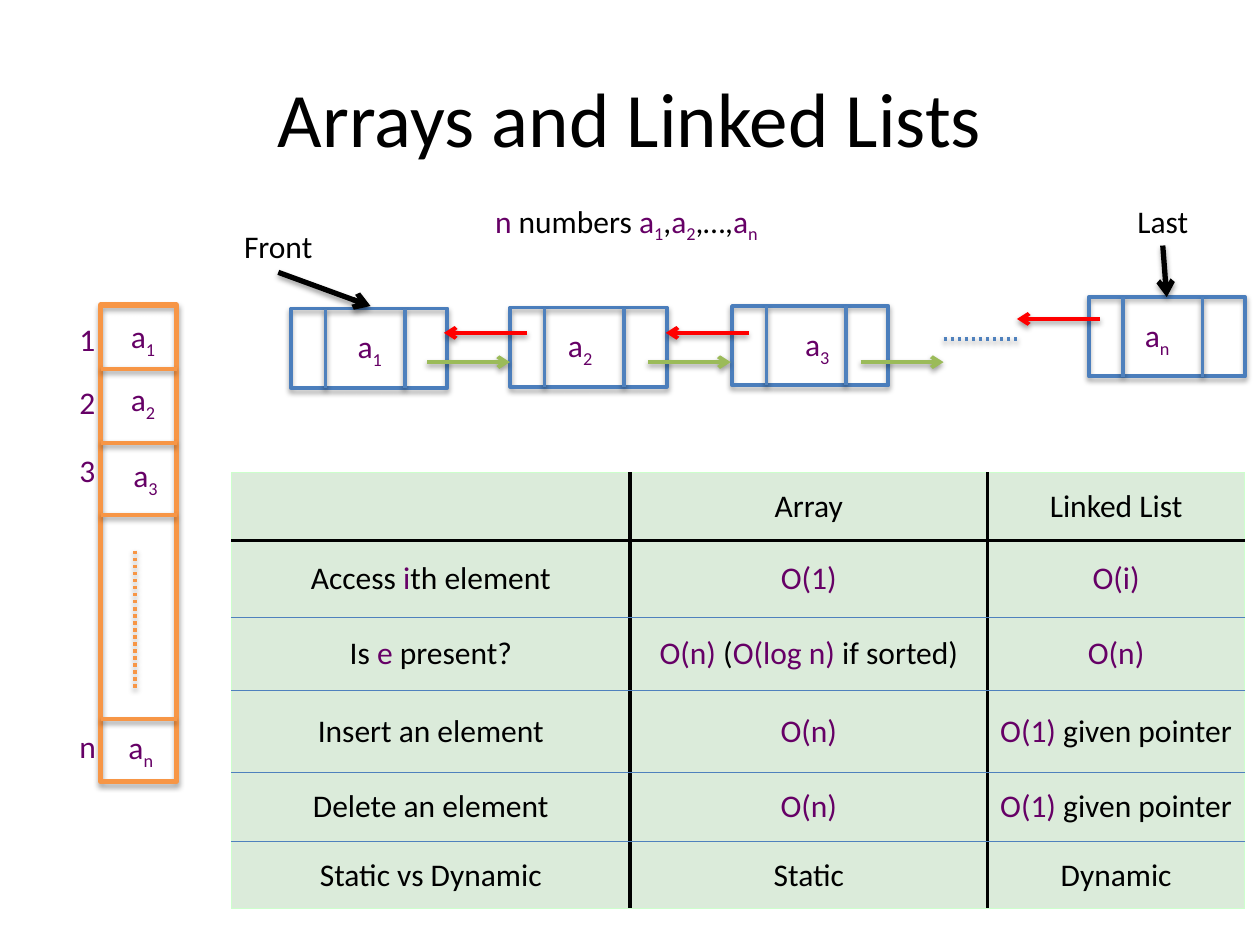
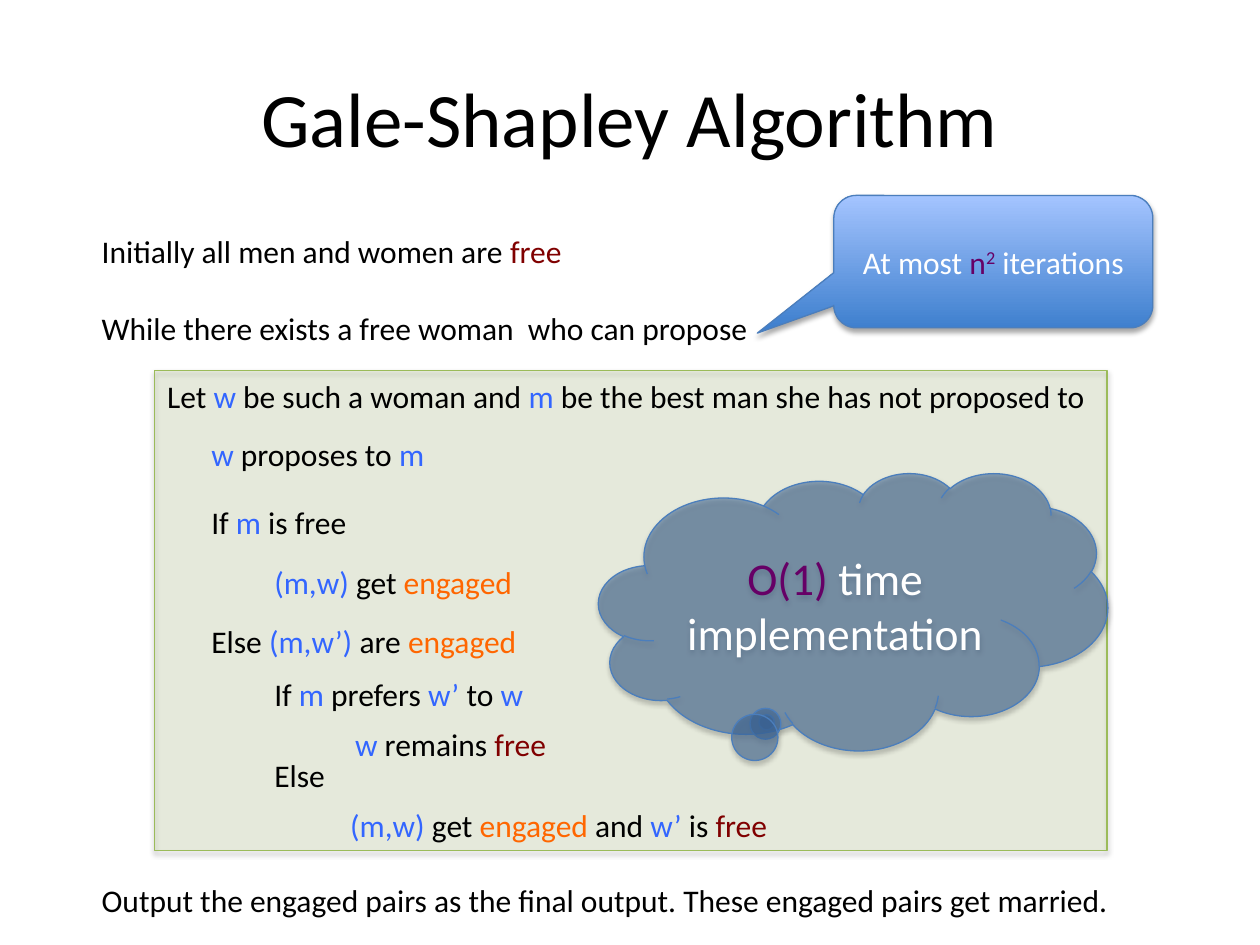
from typing import NamedTuple

from lxml import etree
from pptx import Presentation
from pptx.dml.color import RGBColor
from pptx.enum.dml import MSO_LINE
from pptx.enum.shapes import MSO_CONNECTOR, MSO_SHAPE
from pptx.enum.text import MSO_ANCHOR, PP_ALIGN
from pptx.oxml.ns import qn
from pptx.util import Cm, Pt

BLACK = RGBColor(0x00, 0x00, 0x00)
WHITE = RGBColor(0xFF, 0xFF, 0xFF)
PURPLE = RGBColor(0x66, 0x00, 0x66)
ORANGE = RGBColor(0xF7, 0x96, 0x46)
BLUE = RGBColor(0x4F, 0x81, 0xBD)
EDGE = RGBColor(0x4B, 0x7E, 0xBC)
GREEN = RGBColor(0x9B, 0xBB, 0x59)
RED = RGBColor(0xFF, 0x00, 0x00)
MINT = RGBColor(0xCC, 0xFF, 0xCC)
PALE = RGBColor(0xDB, 0xEB, 0xDA)
ROYAL = RGBColor(0x33, 0x66, 0xFF)
MAROON = RGBColor(0x80, 0x00, 0x00)
AMBER = RGBColor(0xFF, 0x66, 0x00)
NAVY = RGBColor(0x37, 0x60, 0x92)
DEEP = RGBColor(0x3F, 0x80, 0xCE)
LIGHT = RGBColor(0xA4, 0xC4, 0xFF)

FONT = "Calibri"
CENTER, LEFT = PP_ALIGN.CENTER, PP_ALIGN.LEFT
MIDDLE, TOP = MSO_ANCHOR.MIDDLE, MSO_ANCHOR.TOP
RECT = MSO_SHAPE.RECTANGLE
BUBBLE = MSO_SHAPE.ROUNDED_RECTANGULAR_CALLOUT
CLOUD = MSO_SHAPE.CLOUD_CALLOUT
STRAIGHT = MSO_CONNECTOR.STRAIGHT
DOTS = MSO_LINE.ROUND_DOT
LINE_H = 1.02


class Bit(NamedTuple):
    text: str
    ink: RGBColor = BLACK
    base: int = 0


class Box(NamedTuple):
    left: float
    top: float
    width: float
    height: float = LINE_H


class Slot(NamedTuple):
    mark: str
    index_top: float
    left: float
    top: float


class Node(NamedTuple):
    mark: str
    left: float
    top: float
    inset: float


class Step(NamedTuple):
    left: float
    top: float
    width: float
    bits: list[Bit]


def purple(text: str) -> Bit:
    return Bit(text, PURPLE)


def royal(text: str) -> Bit:
    return Bit(text, ROYAL)


def item(mark: str) -> list[Bit]:
    return [purple("a"), Bit(mark, PURPLE, -25)]


def write(frame, bits: list[Bit], size: int = 18, align=LEFT) -> None:
    para = frame.paragraphs[0]
    para.alignment = align
    for bit in bits:
        run = para.add_run()
        run.text = bit.text
        run.font.name = FONT
        run.font.size = Pt(size)
        run.font.color.rgb = bit.ink
        if bit.base:
            run.font._element.set("baseline", str(bit.base * 1000))


def label(slide, box: Box, bits: list[Bit], size: int = 18,
          align=LEFT, anchor=TOP, wrap: bool = False) -> None:
    frame = slide.shapes.add_textbox(*map(Cm, box)).text_frame
    frame.word_wrap = wrap
    frame.vertical_anchor = anchor
    write(frame, bits, size, align)


def title(slide, text: str) -> None:
    label(slide, Box(1.27, 0.76, 22.86, 3.18), [Bit(text)], 44, CENTER, MIDDLE, True)


def shade(shape, alpha: int) -> None:
    props = shape.element.spPr
    for old in props.findall(qn("a:effectLst")):
        props.remove(old)
    effects = etree.SubElement(props, qn("a:effectLst"))
    shadow = etree.SubElement(effects, qn("a:outerShdw"), blurRad=str(Pt(3.1)),
                              dist=str(Pt(1.8)), dir="5400000", rotWithShape="0")
    ink = etree.SubElement(shadow, qn("a:srgbClr"), val=str(BLACK))
    etree.SubElement(ink, qn("a:alpha"), val=str(alpha * 1000))


def block(slide, kind, box: Box, edge: RGBColor, weight: float):
    shape = slide.shapes.add_shape(kind, *map(Cm, box))
    shape.fill.background()
    shape.line.color.rgb = edge
    shape.line.width = Pt(weight)
    shape.shadow.inherit = False
    shade(shape, 35)
    return shape


def tint(shape, ink: RGBColor, alpha: int) -> None:
    shape.fill.solid()
    shape.fill.fore_color.rgb = ink
    tone = shape.element.spPr.find(qn("a:solidFill"))[0]
    etree.SubElement(tone, qn("a:alpha"), val=str(alpha * 1000))


def speak(shape, tip: tuple[float, ...], bits: list[Bit], size: int) -> None:
    for place, value in enumerate(tip):
        shape.adjustments[place] = value
    shape.text_frame.word_wrap = True
    shape.text_frame.vertical_anchor = MIDDLE
    write(shape.text_frame, bits, size, CENTER)


def stroke(slide, start: tuple[float, float], end: tuple[float, float],
           ink: RGBColor, weight: float, arrow: bool = False, dash=None) -> None:
    wire = slide.shapes.add_connector(STRAIGHT, *map(Cm, start + end))
    wire.line.color.rgb = ink
    wire.line.width = Pt(weight)
    if dash:
        wire.line.dash_style = dash
    if arrow:
        etree.SubElement(wire.element.spPr.find(qn("a:ln")), qn("a:tailEnd"), type="arrow")
    shade(wire, 38)


def border(cell, side: str, ink: RGBColor, weight: float) -> None:
    props = cell._tc.get_or_add_tcPr()
    line = etree.SubElement(props, qn(f"a:{side}"), w=str(Pt(weight)))
    fill = etree.SubElement(line, qn("a:solidFill"))
    etree.SubElement(fill, qn("a:srgbClr"), val=str(ink))


def column(slide) -> None:
    frame = Box(2.03, 6.15, 1.53, 9.6)
    block(slide, RECT, frame, ORANGE, 3)
    for y in (7.44, 8.93, 10.38, 14.5):
        stroke(slide, (frame.left, y), (frame.left + frame.width, y), ORANGE, 2.25)
    slots = [Slot("1", 6.32, 2.39, 6.27), Slot("2", 7.59, 2.39, 7.54),
             Slot("3", 8.97, 2.44, 9.07), Slot("n", 14.53, 2.34, 14.55)]
    for slot in slots:
        label(slide, Box(slot.left, slot.top, 1.04), item(slot.mark))
        label(slide, Box(1.35, slot.index_top, 0.84), [purple(slot.mark)])
    stroke(slide, (2.72, 11.1), (2.72, 13.92), ORANGE, 2, dash=DOTS)


def chain(slide) -> None:
    nodes = [Node("1", 5.87, 6.22, 1.09), Node("2", 10.29, 6.2, 0.91),
             Node("3", 14.76, 6.17, 1.22), Node("n", 21.95, 5.99, 0.88)]
    width, height, reach = 3.15, 1.6, 1.67
    for node in nodes:
        block(slide, RECT, Box(node.left, node.top, width, height), EDGE, 2.25)
        for shift in (0.69, 2.29):
            x = node.left + shift
            stroke(slide, (x, node.top), (x, node.top + height), BLUE, 2)
        label(slide, Box(node.left + node.inset, node.top + 0.25, 1.04), item(node.mark))
    for x in (8.61, 13.06, 17.35):
        stroke(slide, (x, 7.3), (x + reach, 7.3), GREEN, 2.25, True)
    for x, y in ((10.62, 6.71), (15.09, 6.71), (22.17, 6.43)):
        stroke(slide, (x, y), (x - reach, y), RED, 2.25, True)
    label(slide, Box(4.67, 4.45, 1.91), [Bit("Front")])
    stroke(slide, (5.61, 5.49), (7.47, 6.17), BLACK, 3, True)
    label(slide, Box(22.68, 3.94, 1.55), [Bit("Last")])
    stroke(slide, (23.44, 4.95), (23.52, 5.99), BLACK, 3, True)
    stroke(slide, (19.02, 6.83), (20.5, 6.83), BLUE, 2, dash=DOTS)


def costs(slide) -> None:
    const, linear = [purple("O(1)")], [purple("O(n)")]
    given = const + [Bit(" given pointer")]
    rows = [
        [[], [Bit("Array")], [Bit("Linked List")]],
        [[Bit("Access "), purple("i"), Bit("th element")], const, [purple("O(i)")]],
        [[Bit("Is "), purple("e"), Bit(" present?")],
         linear + [Bit(" ("), purple("O(log n) "), Bit("if sorted)")], linear],
        [[Bit("Insert an element")], linear, given],
        [[Bit("Delete an element")], linear, given],
        [[Bit("Static vs Dynamic")], [Bit("Static")], [Bit("Dynamic")]],
    ]
    widths = (8.03, 7.21, 5.18)
    heights = (1.37, 1.54, 1.48, 1.65, 1.4, 1.35)
    rim, bold, thin = (MINT, 0.75), (BLACK, 2), (BLUE, 0.75)
    across = [rim, bold, thin, thin, thin, thin, rim]
    down = [rim, bold, bold, rim]
    box = Box(4.67, 9.53, sum(widths), sum(heights))
    table = slide.shapes.add_table(len(rows), len(widths), *map(Cm, box)).table
    table.first_row = table.horz_banding = False
    for col, width in zip(table.columns, widths):
        col.width = Cm(width)
    for r, row in enumerate(rows):
        table.rows[r].height = Cm(heights[r])
        for c, bits in enumerate(row):
            cell = table.cell(r, c)
            cell.margin_left = cell.margin_right = Cm(0.05)
            cell.margin_top = cell.margin_bottom = Cm(0)
            cell.vertical_anchor = MIDDLE
            sides = (down[c], down[c + 1], across[r], across[r + 1])
            for side, pen in zip(("lnL", "lnR", "lnT", "lnB"), sides):
                border(cell, side, *pen)
            cell.fill.solid()
            cell.fill.fore_color.rgb = PALE
            write(cell.text_frame, bits, align=CENTER)


def lists(slide) -> None:
    title(slide, "Arrays and Linked Lists")
    label(slide, Box(9.73, 3.94, 5.94),
          [purple("n"), Bit(" numbers "), *item("1"), Bit(","), *item("2"),
           Bit(",…,"), *item("n")])
    column(slide)
    chain(slide)
    costs(slide)


def match(slide) -> None:
    free, paired = Bit("free", MAROON), Bit("engaged", AMBER)
    steps = [
        Step(1.8, 4.55, 9.91, [Bit("Initially all men and women are "), free]),
        Step(1.8, 6.1, 14.12, [Bit("While there exists a free woman  who can propose")]),
        Step(3.12, 7.47, 19.2, [Bit("Let "), royal("w"), Bit(" be such a woman and "),
                                royal("m"),
                                Bit(" be the best man she has not proposed to")]),
        Step(4.01, 8.64, 4.85, [royal("w "), Bit("proposes to "), royal("m")]),
        Step(4.01, 10.01, 3.28, [Bit("If "), royal("m"), Bit(" is free")]),
        Step(5.28, 11.23, 5.36, [royal("(m,w) "), Bit("get "), paired]),
        Step(4.01, 12.42, 6.88, [Bit("Else "), royal("(m,w’) "), Bit("are "), paired]),
        Step(5.28, 13.49, 5.77, [Bit("If "), royal("m"), Bit(" prefers "), royal("w’ "),
                                 Bit("to "), royal("w")]),
        Step(6.91, 14.5, 4.39, [royal("w"), Bit(" remains "), free]),
        Step(5.28, 15.11, 1.55, [Bit("Else")]),
        Step(6.81, 16.13, 9.17, [royal("(m,w)"), Bit(" get "), paired, Bit(" and "),
                                 royal("w’ "), Bit("is "), free]),
        Step(1.8, 17.63, 20.9, [Bit("Output the engaged pairs as the final output. "
                                    "These engaged pairs get married.")]),
    ]
    panel = block(slide, RECT, Box(3.12, 7.47, 19.2, 9.68), GREEN, 0.75)
    tint(panel, GREEN, 15)
    title(slide, "Gale-Shapley Algorithm")
    for step in steps:
        label(slide, Box(step.left, step.top, step.width), step.bits)

    bubble = block(slide, BUBBLE, Box(16.81, 3.94, 6.43, 2.67), EDGE, 0.75)
    bubble.fill.gradient()
    bubble.fill.gradient_angle = 90
    for stop, ink in zip(bubble.fill.gradient_stops, (DEEP, LIGHT)):
        stop.color.rgb = ink
    speak(bubble, (-0.74, 0.54, 0.17),
          [Bit("At most ", WHITE), purple("n"), Bit("2", PURPLE, 30),
           Bit(" iterations", WHITE)], 18)

    cloud = block(slide, CLOUD, Box(12.07, 9.53, 10.26, 5.59), EDGE, 0.75)
    tint(cloud, NAVY, 53)
    speak(cloud, (-0.17, 0.4), [purple("O(1) "), Bit("time implementation", WHITE)], 26)


def main() -> None:
    deck = Presentation()
    deck.slide_width, deck.slide_height = Cm(25.4), Cm(19.05)
    for draw in (lists, match):
        draw(deck.slides.add_slide(deck.slide_layouts[6]))
    deck.save("out.pptx")


if __name__ == "__main__":
    main()
